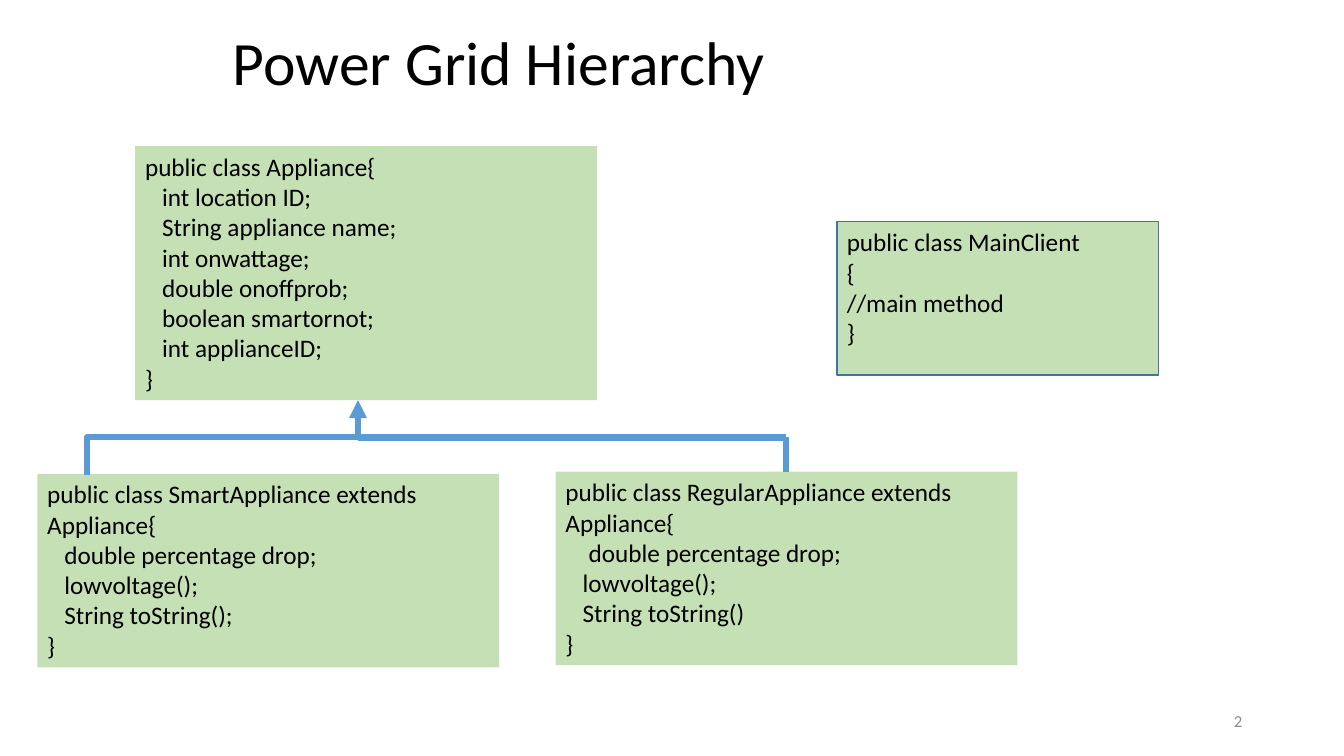
from dataclasses import dataclass
from typing import Optional

from lxml.etree import SubElement
from pptx import Presentation
from pptx.dml.color import RGBColor
from pptx.enum.shapes import MSO_CONNECTOR as Connector, MSO_SHAPE as Shape
from pptx.enum.text import MSO_ANCHOR as Anchor, PP_ALIGN as Align
from pptx.oxml.ns import qn
from pptx.util import Inches, Pt

COLORS = {
    "text": "000000",
    "page_number": "8C8C8C",
    "class_fill": "C5E0B4",
    "client_border": "43739E",
    "inheritance": "5B9BD5",
}
FONT = "Calibri"
MEMBER_INDENT = 0.17
BRANCH_Y = 4.34
ARROW_X = 3.55


@dataclass
class CodeLine:
    text: str
    indent: float = 0


@dataclass
class ClassBox:
    left: float
    top: float
    width: float
    height: float
    lines: list[CodeLine]
    border: Optional[str] = None


@dataclass
class Link:
    start: tuple[float, float]
    end: tuple[float, float]
    weight: float
    kind: Connector = Connector.STRAIGHT


def color(name: str) -> RGBColor:
    return RGBColor.from_string(COLORS[name])


def format_paragraph(paragraph, size: float, color_name: str, align=Align.LEFT) -> None:
    paragraph.alignment = align
    paragraph.font.name = FONT
    paragraph.font.size = Pt(size)
    paragraph.font.color.rgb = color(color_name)


def member(text: str, indent: float = MEMBER_INDENT) -> CodeLine:
    return CodeLine(text, indent)


def draw_class(slide, box: ClassBox):
    rectangle = slide.shapes.add_shape(
        Shape.RECTANGLE,
        Inches(box.left), Inches(box.top), Inches(box.width), Inches(box.height),
    )
    rectangle.shadow.inherit = False
    rectangle.fill.solid()
    rectangle.fill.fore_color.rgb = color("class_fill")
    if box.border:
        rectangle.line.color.rgb = color(box.border)
        rectangle.line.width = Pt(1)
    else:
        rectangle.line.fill.background()
    frame = rectangle.text_frame
    frame.word_wrap = True
    frame.vertical_anchor = Anchor.TOP
    frame.text = "\n".join(line.text for line in box.lines)
    for paragraph, line in zip(frame.paragraphs, box.lines):
        format_paragraph(paragraph, 18, "text")
        if line.indent:
            properties = paragraph._p.get_or_add_pPr()
            properties.set("marL", str(Inches(line.indent)))
            properties.set("indent", "0")
    return rectangle


def draw_link(slide, link: Link):
    connector = slide.shapes.add_connector(
        link.kind, *(Inches(value) for value in link.start + link.end)
    )
    connector.line.color.rgb = color("inheritance")
    connector.line.width = Pt(link.weight)
    SubElement(connector._element.spPr, qn("a:effectLst"))
    return connector


def draw_inheritance_arrow(slide, link: Link) -> None:
    (x1, y1), (x2, y2) = link.start, link.end
    center_x, center_y = (x1 + x2) / 2, (y1 + y2) / 2
    half_width, half_height = (y1 - y2) / 2, (x2 - x1) / 2
    arrow = draw_link(slide, Link(
        (center_x + half_width, center_y + half_height),
        (center_x - half_width, center_y - half_height),
        link.weight, link.kind,
    ))
    arrow._element.spPr.find(qn("a:xfrm")).set("rot", "5400000")
    SubElement(arrow.line._get_or_add_ln(), qn("a:tailEnd"), type="triangle")


def main() -> None:
    deck = Presentation()
    deck.slide_width, deck.slide_height = Inches(13.33), Inches(7.5)
    slide = deck.slides.add_slide(deck.slide_layouts[5])

    title = slide.shapes.title
    title.left, title.top = Inches(2.21), Inches(0.03)
    title.width, title.height = Inches(9), Inches(1.25)
    title.text_frame.text = "Power Grid Hierarchy"
    title.text_frame.vertical_anchor = Anchor.MIDDLE
    heading = title.text_frame.paragraphs[0]
    format_paragraph(heading, 44, "text")
    heading.line_spacing = 0.9

    page_number = slide.shapes.add_textbox(
        Inches(9.42), Inches(6.95), Inches(3), Inches(0.4)
    ).text_frame
    page_number.word_wrap = True
    page_number.vertical_anchor = Anchor.MIDDLE
    page_number.text = "2"
    format_paragraph(page_number.paragraphs[0], 12, "page_number", Align.RIGHT)

    appliance = ClassBox(1.34, 1.45, 4.58, 2.52, [
        CodeLine("public class Appliance{"),
        member("int location ID;"),
        member("String appliance name;"),
        member("int onwattage;"),
        member("double onoffprob;"),
        member("boolean smartornot;"),
        member("int applianceID;"),
        CodeLine("}"),
    ])
    smart_appliance = ClassBox(0.37, 4.7, 4.58, 1.92, [
        CodeLine("public class SmartAppliance extends Appliance{"),
        member("double percentage drop;"),
        member("lowvoltage();"),
        member("String toString();"),
        CodeLine("}"),
    ])
    regular_appliance = ClassBox(5.51, 4.68, 4.58, 1.92, [
        CodeLine("public class RegularAppliance extends Appliance{"),
        member("double percentage drop;", 0.23),
        member("lowvoltage();"),
        member("String toString()"),
        CodeLine("}"),
    ])
    main_client = ClassBox(8.3, 2.2, 3.19, 1.52, [
        CodeLine("public class MainClient"),
        CodeLine("{"),
        CodeLine("//main method"),
        CodeLine("}"),
    ], "client_border")

    draw_class(slide, appliance)
    draw_class(slide, smart_appliance)
    regular_rectangle = draw_class(slide, regular_appliance)

    regular_x = regular_appliance.left + regular_appliance.width / 2
    draw_inheritance_arrow(
        slide, Link((0.86, 4.71), (ARROW_X, 3.97), 4.25, Connector.ELBOW)
    )
    draw_link(slide, Link((ARROW_X, BRANCH_Y), (regular_x, BRANCH_Y), 4.4))
    regular_branch = draw_link(
        slide, Link((regular_x, regular_appliance.top), (regular_x, BRANCH_Y), 4.3)
    )
    regular_branch.begin_connect(regular_rectangle, 0)

    draw_class(slide, main_client)
    deck.save("out.pptx")


if __name__ == "__main__":
    main()
